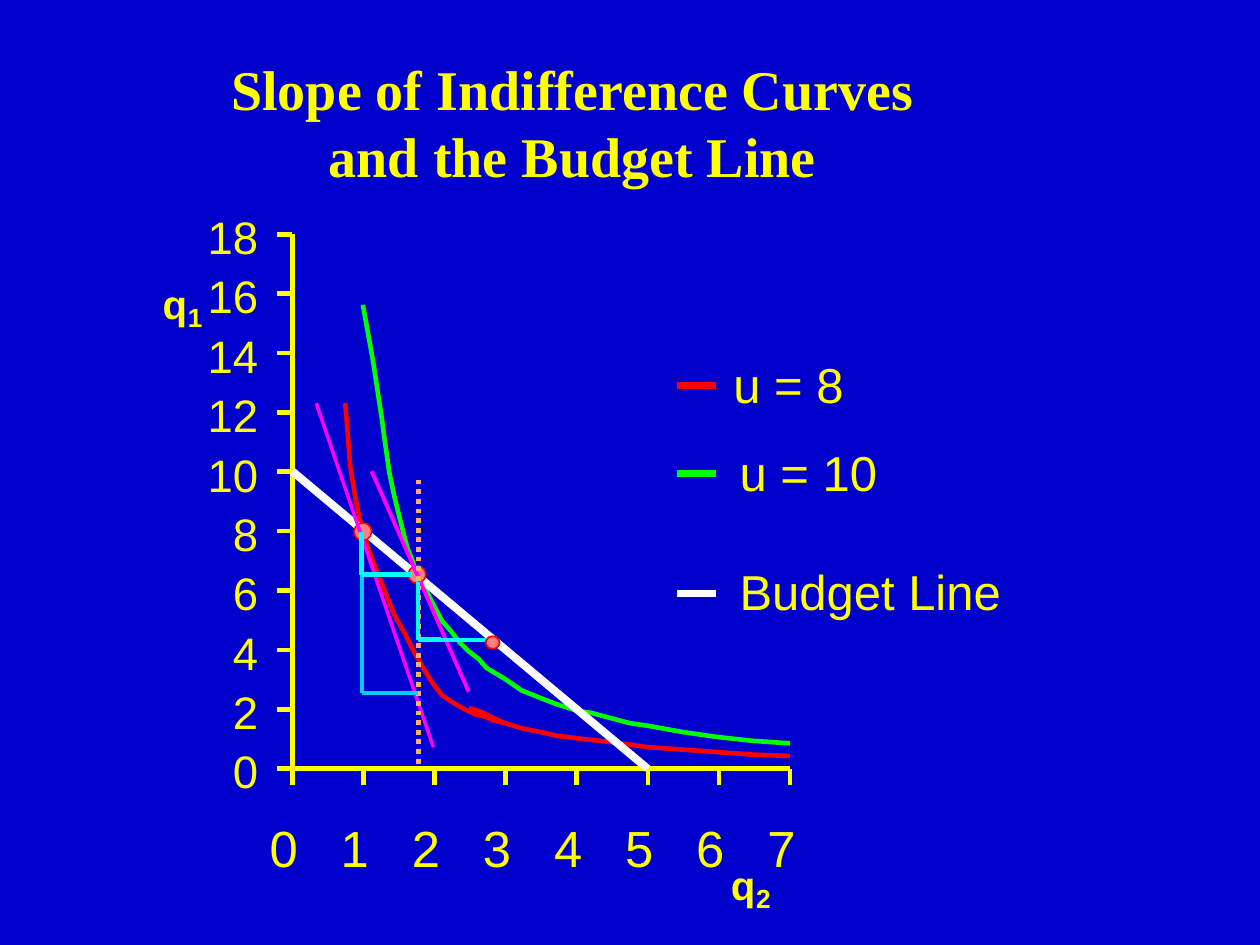
from lxml import etree
from pptx import Presentation
from pptx.dml.color import RGBColor
from pptx.enum.dml import MSO_LINE
from pptx.enum.shapes import MSO_CONNECTOR, MSO_SHAPE
from pptx.enum.text import MSO_ANCHOR, MSO_AUTO_SIZE, PP_ALIGN
from pptx.oxml.ns import qn
from pptx.util import Inches, Pt

STRAIGHT = MSO_CONNECTOR.STRAIGHT
OVAL = MSO_SHAPE.OVAL
DOTTED = MSO_LINE.ROUND_DOT
TOP = MSO_ANCHOR.TOP
NO_FIT = MSO_AUTO_SIZE.NONE
LEFT, CENTER, RIGHT = PP_ALIGN.LEFT, PP_ALIGN.CENTER, PP_ALIGN.RIGHT

BLUE, YELLOW, WHITE = "0000CC", "FFFF00", "FFFFFF"
RED, GREEN, MAGENTA = "FF0000", "00FF00", "FF00FF"
CYAN, SKY, ORANGE, PINK = "00FFFF", "00CCFF", "FFB163", "FF8080"

TITLE = ["Slope of Indifference Curves", "and the Budget Line"]
ORIGIN_X, ORIGIN_Y = 2.32, 6.1
AXIS_WIDTH, AXIS_HEIGHT = 3.95, 4.24
X_MAX, Y_MAX, Y_STEP = 7, 18, 2
AXIS_WEIGHT = 2.64

CURVES = [
    (RED, [(2.74, 3.2), (2.76, 3.44), (2.78, 3.7), (2.82, 3.95), (2.85, 4.09), (2.88, 4.22),
           (2.93, 4.37), (2.99, 4.53), (3.13, 4.88), (3.22, 5.04), (3.29, 5.18), (3.37, 5.32),
           (3.44, 5.43), (3.51, 5.52), (3.6, 5.58), (3.69, 5.63), (3.77, 5.67), (3.86, 5.69),
           (3.92, 5.72), (4.01, 5.74), (4.14, 5.78), (4.29, 5.81), (4.42, 5.84), (4.58, 5.86),
           (4.85, 5.89), (5.14, 5.93), (5.7, 5.97), (5.98, 5.99), (6.27, 6)]),
    (RED, [(3.72, 5.62), (3.79, 5.64), (3.84, 5.66), (3.92, 5.7), (4.01, 5.74)]),
    (GREEN, [(2.88, 2.42), (2.92, 2.64), (2.96, 2.86), (3.03, 3.32), (3.06, 3.54), (3.09, 3.75),
             (3.13, 3.94), (3.17, 4.1), (3.2, 4.22), (3.23, 4.34), (3.27, 4.44), (3.3, 4.53),
             (3.34, 4.6), (3.38, 4.68), (3.44, 4.8), (3.51, 4.93), (3.58, 5.01), (3.65, 5.1),
             (3.72, 5.17), (3.8, 5.23), (3.86, 5.3), (4.01, 5.39), (4.14, 5.48), (4.29, 5.54),
             (4.42, 5.59), (4.58, 5.64), (4.7, 5.66), (4.85, 5.7), (5, 5.74), (5.14, 5.76),
             (5.42, 5.81), (5.7, 5.85), (5.98, 5.88), (6.27, 5.9)]),
]
TANGENTS = [(2.51, 3.2, 3.44, 5.93, 2), (2.95, 3.74, 3.72, 5.49, 2.25)]
BACK_STEP = (3.32, 4.6, 5.07, 3.5, CYAN, 2.5)
FRONT_STEPS = [
    (2.87, 4.22, 5.5, 3.32, SKY, 2.25),
    (2.87, 4.22, 4.56, 3.27, CYAN, 2.5),
    (3.32, 4.62, 5.08, 3.93, CYAN, 2.5),
]
CURVE_DOTS = [(2.88, 4.22), (3.31, 4.56)]
AXIS_NAMES = [(5.8, 6.83, "2"), (1.29, 2.22, "1")]
LEGEND = [
    ("Budget Line", WHITE, 4.71, 5.87, 2.07),
    ("u = 8", RED, 3.06, 5.82, 0.88),
    ("u = 10", GREEN, 3.76, 5.87, 1.09),
]


def color(value):
    return RGBColor.from_string(value)


def add_line(slide, x1, y1, x2, y2, line_color, weight):
    line = slide.shapes.add_connector(STRAIGHT, Inches(x1), Inches(y1), Inches(x2), Inches(y2))
    line.line.color.rgb = color(line_color)
    line.line.width = Pt(weight)
    etree.SubElement(line._element.spPr, qn("a:effectLst"))
    return line


def add_step(slide, x, top, bottom, right, line_color, weight):
    add_line(slide, x, top, x, bottom, line_color, weight)
    add_line(slide, x, bottom, right, bottom, line_color, weight)


def add_curve(slide, line_color, points):
    points = [(Inches(x), Inches(y)) for x, y in points]
    builder = slide.shapes.build_freeform(*points[0])
    builder.add_line_segments(points[1:], close=False)
    curve = builder.convert_to_shape()
    curve.shadow.inherit = False
    curve.fill.background()
    curve.line.color.rgb = color(line_color)
    curve.line.width = Pt(AXIS_WEIGHT)


def add_dot(slide, x, y, width, height, weight):
    dot = slide.shapes.add_shape(
        OVAL, Inches(x - width / 2), Inches(y - height / 2), Inches(width), Inches(height))
    dot.shadow.inherit = False
    dot.fill.solid()
    dot.fill.fore_color.rgb = color(PINK)
    dot.line.color.rgb = color(RED)
    dot.line.width = Pt(weight)


def format_text(shape, size, font, bold, alignment):
    frame = shape.text_frame
    frame.margin_left = frame.margin_right = frame.margin_top = frame.margin_bottom = 0
    frame.word_wrap = False
    frame.auto_size = NO_FIT
    frame.vertical_anchor = TOP
    for paragraph in frame.paragraphs:
        paragraph.alignment = alignment
        for run in paragraph.runs:
            run.font.size = Pt(size)
            run.font.name = font
            run.font.bold = bold
            run.font.color.rgb = color(YELLOW)


def add_label(slide, text, x, y, width, height, size, bold=False, alignment=LEFT):
    label = slide.shapes.add_textbox(Inches(x), Inches(y), Inches(width), Inches(height))
    label.text_frame.text = text
    format_text(label, size, "Arial", bold, alignment)


def add_title(slide):
    title = slide.shapes.title
    title.left, title.top, title.width, title.height = map(Inches, (1.83, 0.43, 5.43, 1.07))
    title.text_frame.text = "\n".join(TITLE)
    format_text(title, 32, "Times New Roman", True, CENTER)


def add_axes(slide):
    x_ticks = [(n, ORIGIN_X + AXIS_WIDTH * n / X_MAX) for n in range(X_MAX + 1)]
    y_ticks = [(n, ORIGIN_Y - AXIS_HEIGHT * n / Y_MAX) for n in range(0, Y_MAX + 1, Y_STEP)]
    axis = (YELLOW, AXIS_WEIGHT)
    add_line(slide, ORIGIN_X, ORIGIN_Y - AXIS_HEIGHT, ORIGIN_X, ORIGIN_Y, *axis)
    add_line(slide, ORIGIN_X, ORIGIN_Y, ORIGIN_X + AXIS_WIDTH, ORIGIN_Y, *axis)
    for number, y in y_ticks:
        add_line(slide, ORIGIN_X - 0.12, y, ORIGIN_X, y, *axis)
        add_label(slide, str(number), 1.65, y - 0.2, 0.4, 0.43, 26, alignment=RIGHT)
    for number, x in x_ticks:
        add_line(slide, x, ORIGIN_Y + 0.13, x, ORIGIN_Y, *axis)
        add_label(slide, str(number), x - 0.18, 6.48, 0.23, 0.48, 29)
    for x, y, subscript in AXIS_NAMES:
        add_label(slide, "q", x, y, 0.2, 0.38, 23, bold=True)
        add_label(slide, subscript, x + 0.2, y + 0.17, 0.12, 0.25, 15, bold=True)


def main():
    presentation = Presentation()
    presentation.slide_width, presentation.slide_height = Inches(10), Inches(7.5)
    slide = presentation.slides.add_slide(presentation.slide_layouts[5])
    slide.background.fill.solid()
    slide.background.fill.fore_color.rgb = color(BLUE)

    add_title(slide)
    add_step(slide, *BACK_STEP)
    add_axes(slide)
    for line_color, points in CURVES:
        add_curve(slide, line_color, points)
    add_line(slide, ORIGIN_X, 3.74, 5.14, ORIGIN_Y, WHITE, 4.5)
    for x, y in CURVE_DOTS:
        add_dot(slide, x, y, 0.14, 0.14, 0.88)
    for text, line_color, y, text_x, width in LEGEND:
        add_line(slide, 5.37, y, 5.68, y, line_color, 4)
        add_label(slide, text, text_x, y - 0.25, width, 0.47, 28)
    for x1, y1, x2, y2, weight in TANGENTS:
        add_line(slide, x1, y1, x2, y2, MAGENTA, weight)
    guide = add_line(slide, 3.32, 6.06, 3.32, 3.79, ORANGE, 2.75)
    guide.line.dash_style = DOTTED
    for step in FRONT_STEPS:
        add_step(slide, *step)
    add_dot(slide, 3.91, 5.1, 0.11, 0.1, 1)
    presentation.save("out.pptx")


if __name__ == "__main__":
    main()
